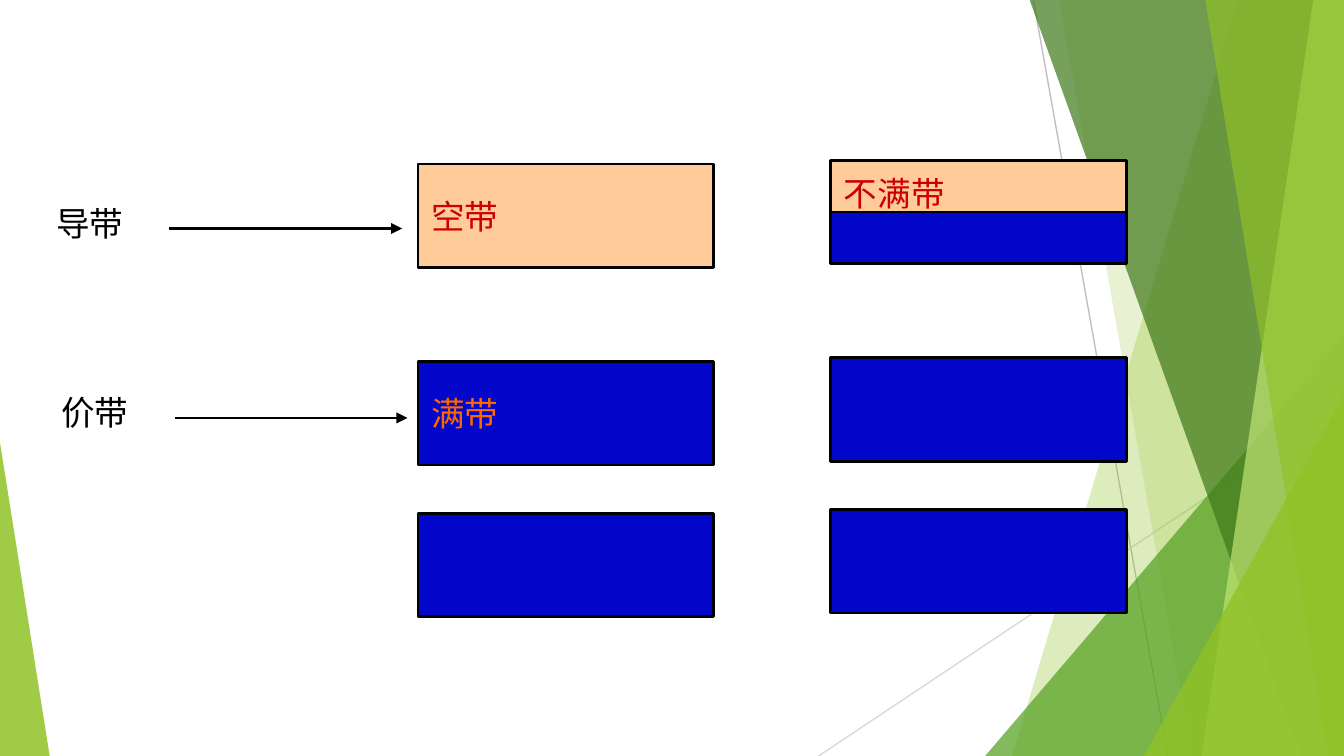
from dataclasses import dataclass

from lxml import etree
from pptx import Presentation
from pptx.dml.color import RGBColor
from pptx.enum.shapes import MSO_CONNECTOR, MSO_SHAPE
from pptx.enum.text import MSO_ANCHOR, PP_ALIGN
from pptx.oxml.ns import qn
from pptx.util import Cm, Pt

STRAIGHT = MSO_CONNECTOR.STRAIGHT
RECTANGLE, TRIANGLE = MSO_SHAPE.RECTANGLE, MSO_SHAPE.ISOSCELES_TRIANGLE
MIDDLE, TOP = MSO_ANCHOR.MIDDLE, MSO_ANCHOR.TOP
LEFT = PP_ALIGN.LEFT
WIDTH, HEIGHT = 25.4, 14.29


@dataclass(frozen=True)
class Theme:
    font: str = "Arial"
    size: float = 18
    outline: float = 1.5
    hairline: float = 0.75
    ink: str = "000000"
    empty: str = "FFCC99"
    filled: str = "0207CA"
    red: str = "CC0000"
    orange: str = "FF6600"
    grey: str = "BFBFBF"
    pale_grey: str = "D9D9D9"
    green: str = "90C226"
    mid_green: str = "54A021"
    dark_green: str = "3F7819"
    light_green: str = "C0E474"


class BandSlide:
    """Draws the elements of an energy band diagram in one theme."""

    def __init__(self, slide, theme):
        self.slide = slide
        self.theme = theme

    def glass(self, sp, color, opacity):
        sp.shadow.inherit = False
        sp.fill.solid()
        sp.fill.fore_color.rgb = RGBColor.from_string(color)
        sp.line.fill.background()
        clr = sp._element.spPr.find(qn("a:solidFill"))[0]
        etree.SubElement(clr, qn("a:alpha")).set("val", str(opacity * 1000))

    def shard(self, top_x, bottom_x, color, opacity):
        builder = self.slide.shapes.build_freeform(Cm(top_x), 0)
        corners = [(WIDTH, 0), (WIDTH, HEIGHT), (bottom_x, HEIGHT)]
        builder.add_line_segments([(Cm(x), Cm(y)) for x, y in corners])
        self.glass(builder.convert_to_shape(), color, opacity)

    def triangle(self, left, top, width, apex, color, opacity):
        sp = self.slide.shapes.add_shape(
            TRIANGLE, Cm(left), Cm(top), Cm(width), Cm(HEIGHT - top))
        sp.adjustments[0] = apex
        self.glass(sp, color, opacity)

    def line(self, x1, y1, x2, y2, color, width):
        sp = self.slide.shapes.add_connector(STRAIGHT, Cm(x1), Cm(y1), Cm(x2), Cm(y2))
        sp.line.color.rgb = RGBColor.from_string(color)
        sp.line.width = Pt(width)
        etree.SubElement(sp._element.spPr, qn("a:effectLst"))
        return sp

    def arrow(self, left, y, length):
        sp = self.line(left, y, left + length, y, self.theme.ink, self.theme.outline)
        ln = sp._element.spPr.find(qn("a:ln"))
        etree.SubElement(ln, qn("a:tailEnd")).set("type", "triangle")

    def set_text(self, tf, text, color):
        p = tf.paragraphs[0]
        p.text = text
        p.alignment = LEFT
        p.font.name = self.theme.font
        p.font.size = Pt(self.theme.size)
        p.font.color.rgb = RGBColor.from_string(color)

    def band(self, left, top, height, fill, text="", color=None, anchor=MIDDLE):
        sp = self.slide.shapes.add_shape(
            RECTANGLE, Cm(left), Cm(top), Cm(5.59), Cm(height))
        sp.shadow.inherit = False
        sp.fill.solid()
        sp.fill.fore_color.rgb = RGBColor.from_string(fill)
        sp.line.color.rgb = RGBColor.from_string(self.theme.ink)
        sp.line.width = Pt(self.theme.outline)
        if text:
            tf = sp.text_frame
            tf.vertical_anchor = anchor
            if anchor == TOP:
                tf.margin_top = Cm(0.23)
            self.set_text(tf, text, color)

    def label(self, left, top, text):
        tf = self.slide.shapes.add_textbox(Cm(left), Cm(top), Cm(1.78), Cm(1.02)).text_frame
        tf.word_wrap = False
        self.set_text(tf, text, self.theme.ink)


def main():
    prs = Presentation()
    prs.slide_width, prs.slide_height = Cm(WIDTH), Cm(HEIGHT)
    t = Theme()
    s = BandSlide(prs.slides.add_slide(prs.slide_layouts[6]), t)

    s.line(19.53, 0, 22.07, HEIGHT, t.grey, t.hairline)
    s.line(WIDTH, 7.67, 15.47, HEIGHT, t.pale_grey, t.hairline)
    s.shard(23.39, 19.13, t.green, 30)
    s.shard(20.02, 22.53, t.green, 20)
    s.triangle(18.62, 6.35, 6.78, 1, t.mid_green, 72)
    s.shard(19.46, 24.59, t.dark_green, 70)
    s.shard(24.82, 22.71, t.light_green, 70)
    s.shard(22.78, 25.1, t.green, 65)
    s.triangle(21.62, 7.47, 3.78, 1, t.green, 80)
    s.triangle(0, 8.36, 0.94, 0, t.green, 85)

    height, left, right, rise = 1.96, 7.9, 15.7, 0.07
    conduction, valence, core = 3.1, 6.83, 9.7
    s.band(left, conduction, height, t.empty, "空带", t.red)
    s.band(left, valence, height, t.filled, "满带", t.orange)
    s.band(left, core, height, t.filled)
    s.band(right, conduction - rise, height, t.empty, "不满带", t.red, TOP)
    for top in (valence, core):
        s.band(right, top - rise, height, t.filled)
    s.band(right, conduction - rise + height / 2, height / 2, t.filled)

    for x, y, text in ((0.91, 7.29, "价带"), (0.81, 3.71, "导带")):
        s.label(x, y, text)
        s.arrow(x + 2.39, y + 0.61, 4.4)

    prs.save("out.pptx")


if __name__ == "__main__":
    main()
